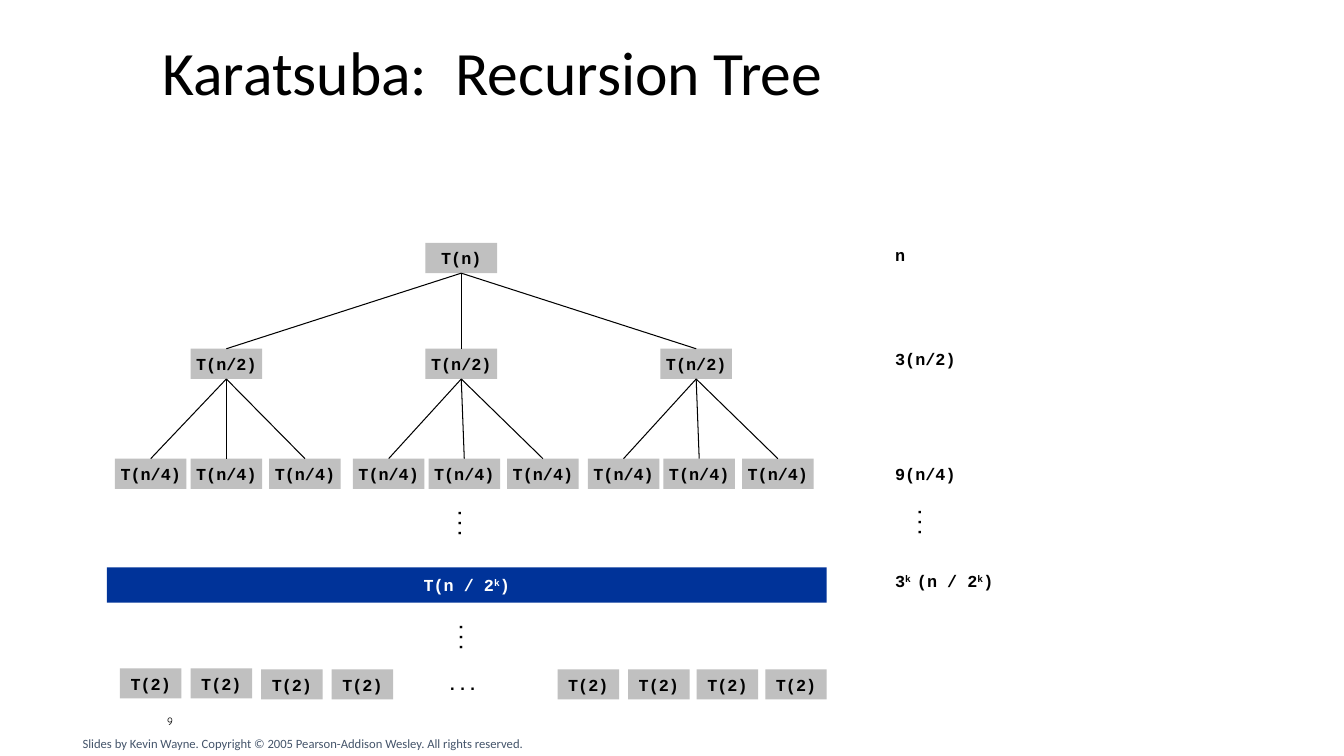
from pptx import Presentation
from pptx.dml.color import RGBColor
from pptx.enum import shapes, text
from pptx.oxml import xmlchemy
from pptx.util import Inches, Pt
from lxml import etree

BLACK = RGBColor(0x00, 0x00, 0x00)
WHITE = RGBColor(0xFF, 0xFF, 0xFF)
GREY = RGBColor(0xC0, 0xC0, 0xC0)
BLUE = RGBColor(0x00, 0x33, 0x99)
SLATE = RGBColor(0x44, 0x54, 0x6A)
A_NS = "{http://schemas.openxmlformats.org/drawingml/2006/main}"
CODE = dict(name="Courier New", size=Pt(12), bold=True)

prs = Presentation()
prs.slide_width, prs.slide_height = Inches(13.33), Inches(7.5)
s = prs.slides.add_slide(prs.slide_layouts[5])


def write(sp, content, color=BLACK, font=CODE, inset=0.1, **frame):
    """Fill a shape with one paragraph; every second part between ^ marks is superscript."""
    tf = sp.text_frame
    layout = dict(word_wrap=True, vertical_anchor=text.MSO_ANCHOR.TOP,
                  auto_size=text.MSO_AUTO_SIZE.NONE,
                  margin_left=Inches(inset), margin_right=Inches(inset),
                  margin_top=Inches(0.05), margin_bottom=Inches(0.05))
    for key, value in {**layout, **frame}.items():
        setattr(tf, key, value)
    p = tf.paragraphs[0]
    p.alignment = text.PP_ALIGN.LEFT
    for i, part in enumerate(content.split("^")):
        r = p.add_run()
        r.text = part
        for key, value in font.items():
            setattr(r.font, key, value)
        r.font.color.rgb = color
        if i % 2:
            r.font._element.set("baseline", "30000")
    return p


def add_box(left, top, width, content, height=0.3, fill=GREY, color=BLACK, **frame):
    sp = s.shapes.add_shape(shapes.MSO_SHAPE.RECTANGLE, Inches(left), Inches(top),
                            Inches(width), Inches(height))
    sp.shadow.inherit = False
    sp.fill.solid()
    sp.fill.fore_color.rgb = fill
    sp.line.fill.background()
    write(sp, content, color, word_wrap=False, **frame).alignment = text.PP_ALIGN.CENTER
    return sp


# Title
title = s.shapes.title
title.left, title.top, title.width, title.height = map(Inches, (1.51, 0.29, 11.5, 0.91))
p = write(title, "Karatsuba:  Recursion Tree", font=dict(name="Calibri", size=Pt(44)),
          vertical_anchor=text.MSO_ANCHOR.MIDDLE)
p.line_spacing = 0.9

# Top three levels of the tree
root = add_box(4.22, 2.41, 0.71, "T(n)", inset=0.05)
edges = []
for i, first_leaf in enumerate((1.14, 3.5, 5.83)):
    half = add_box(1.89 + 2.33 * i, 3.46, 0.71, "T(n/2)", inset=0.05)
    edges.append((root, half))
    for offset in (0, 0.75, 1.53):
        quarter = add_box(first_leaf + offset, 4.55, 0.71, "T(n/4)", inset=0.05)
        edges.append((half, quarter))

for parent, child in edges:
    edge = s.shapes.add_connector(shapes.MSO_CONNECTOR.STRAIGHT, 0, 0, 0, 0)
    edge.begin_connect(parent, 2)
    edge.end_connect(child, 0)
    edge.line.color.rgb = BLACK
    edge.line.width = Pt(0.75)
    etree.SubElement(edge._element.spPr, A_NS + "effectLst")

# Level k and the base cases
add_box(1.06, 5.63, 7.14, "T(n / 2^k^)", height=0.35, fill=BLUE, color=WHITE,
        vertical_anchor=text.MSO_ANCHOR.MIDDLE)
for left, top in ((1.19, 6.63), (1.89, 6.63), (2.59, 6.64), (3.29, 6.64),
                  (5.53, 6.64), (6.23, 6.64), (6.91, 6.64), (7.59, 6.64)):
    add_box(left, top, 0.61, "T(2)")

# Cost of each level, and ellipses
for left, top, width, rotation, content in (
        (8.78, 2.38, 0.67, 0, "n"),
        (8.78, 3.41, 1.14, 0, "3(n/2)"),
        (8.78, 4.55, 1.14, 0, "9(n/4)"),
        (8.78, 5.61, 1.58, 0, "3^k ^(n / 2^k^)"),
        (4.34, 6.63, 1.14, 0, "..."),
        (4.36, 6.19, 0.53, 90, "..."),
        (4.35, 5.06, 0.53, 90, "..."),
        (8.91, 5.05, 0.53, 90, "...")):
    label = s.shapes.add_textbox(Inches(left), Inches(top), Inches(width), Inches(0.3))
    label.rotation = rotation
    write(label, content)

# Footer
number = s.shapes.add_textbox(Inches(1.56), Inches(6.95), Inches(2.36), Inches(0.4))
write(number, "9", font=dict(name="Comic Neue", size=Pt(8)),
      vertical_anchor=text.MSO_ANCHOR.MIDDLE)
credit = s.shapes.add_textbox(Inches(0.72), Inches(7.25), Inches(5.62), Inches(0.25))
write(credit, "Slides by Kevin Wayne. Copyright © 2005 Pearson-Addison Wesley. All rights reserved.",
      SLATE, dict(name="Calibri", size=Pt(9)))

prs.save("out.pptx")
